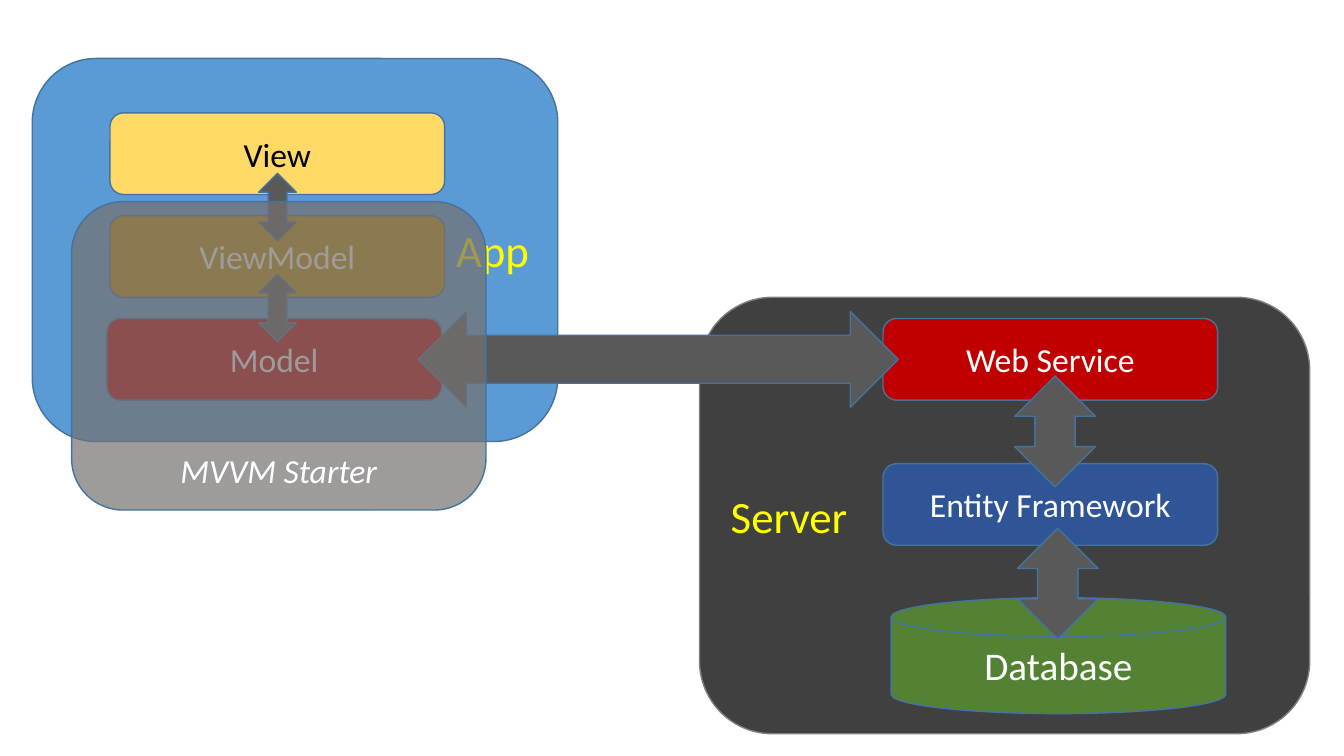
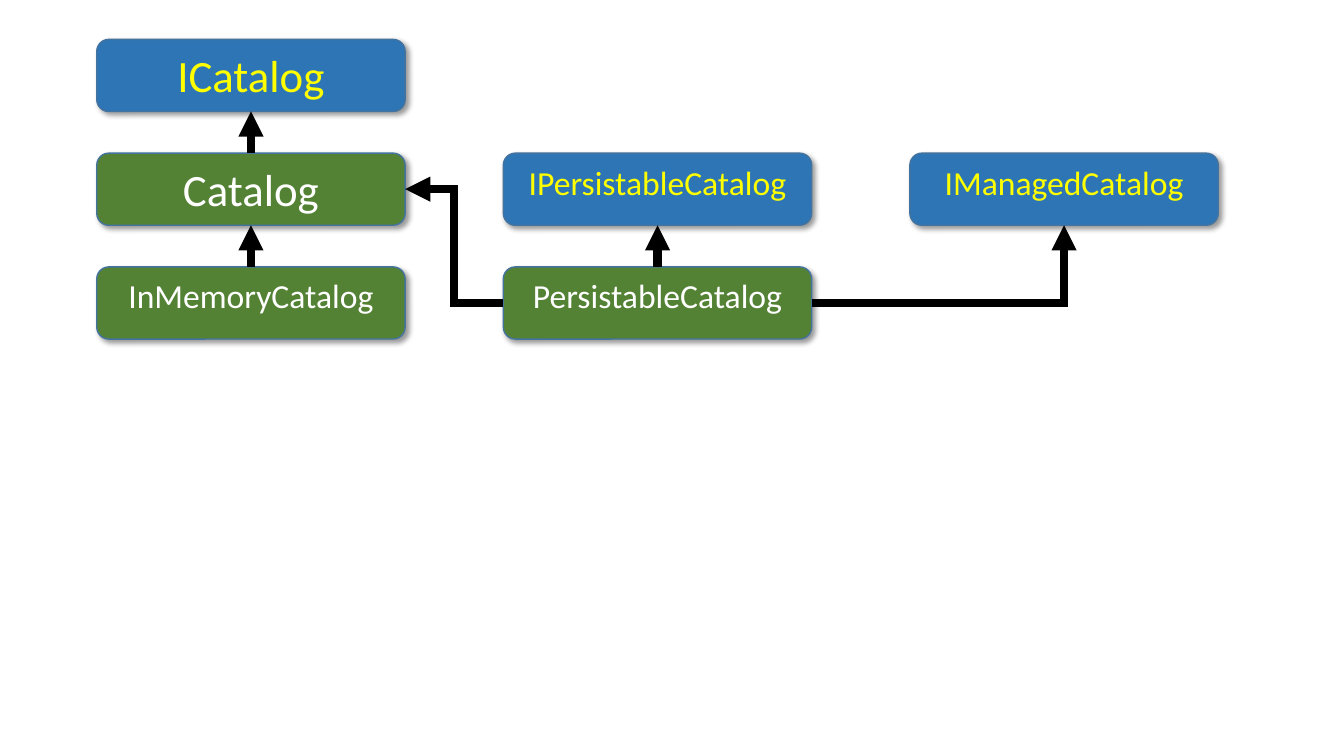
from lxml.etree import SubElement
from pptx import Presentation
from pptx.dml.color import RGBColor
from pptx.enum.shapes import MSO_CONNECTOR, MSO_SHAPE
from pptx.enum.text import MSO_ANCHOR, PP_ALIGN
from pptx.oxml.ns import qn
from pptx.util import Inches, Pt

FONT = "Calibri"
OUTLINE = "43739E"
WHITE = "FFFFFF"
BLACK = "000000"
YELLOW = "FFFF00"
RED = "C00000"
GREEN = "548235"
BLUE = "2E75B6"
ARROW_GREY = "595959"

presentation = Presentation()
presentation.slide_width = Inches(13.33)
presentation.slide_height = Inches(7.5)
column = presentation.slide_width / 100
row = presentation.slide_height / 100
blank_layout = presentation.slide_layouts[6]


def paint(color_format, hex_color):
    color_format.rgb = RGBColor.from_string(hex_color)


def add_block(slide, kind, place, fill, text="", size=24, color=WHITE, outline=OUTLINE,
              align=PP_ALIGN.CENTER, anchor=MSO_ANCHOR.MIDDLE, italic=None):
    left, top, width, height = place
    shape = slide.shapes.add_shape(kind, round(left * column), round(top * row),
                                   round(width * column), round(height * row))
    shape.shadow.inherit = False
    shape.fill.solid()
    paint(shape.fill.fore_color, fill)
    paint(shape.line.color, outline)
    shape.line.width = Pt(1)
    if text:
        shape.text_frame.vertical_anchor = anchor
        paragraph = shape.text_frame.paragraphs[0]
        paragraph.alignment = align
        run = paragraph.add_run()
        run.text = text
        run.font.name = FONT
        run.font.size = Pt(size)
        run.font.italic = italic
        paint(run.font.color, color)
    return shape


architecture = presentation.slides.add_slide(blank_layout)
ROUNDED = MSO_SHAPE.ROUNDED_RECTANGLE
LAYER_WIDTH, LAYER_HEIGHT = 24.9, 10.8
APP_LEFT, APP_TOP, APP_STEP = 8.18, 14.93, 13.6
SERVER_LEFT, SERVER_STEP = 65.7, 19.2
MODEL_TOP = APP_TOP + 2 * APP_STEP

add_block(architecture, ROUNDED, (2.4, 7.73, 39.1, 50.67), "5B9BD5", "App", 32, YELLOW,
          align=PP_ALIGN.RIGHT)
add_block(architecture, ROUNDED, (52.05, 39.33, 45.4, 57.73), "404040", "Server", 32, YELLOW,
          outline="808080", align=PP_ALIGN.LEFT)
add_block(architecture, MSO_SHAPE.FLOWCHART_MAGNETIC_DISK, (66.3, 79.07, LAYER_WIDTH, 15.33),
          GREEN, "Database", 28)

layers = [
    ("Model", APP_LEFT - 0.23, MODEL_TOP, RED, WHITE),
    ("ViewModel", APP_LEFT, APP_TOP + APP_STEP, "BF9000", WHITE),
    ("View", APP_LEFT, APP_TOP, "FFD966", BLACK),
    ("Web Service", SERVER_LEFT, MODEL_TOP, RED, WHITE),
    ("Entity Framework", SERVER_LEFT, MODEL_TOP + SERVER_STEP, "2F5597", WHITE),
]
for name, left, top, fill, color in layers:
    add_block(architecture, ROUNDED, (left, top, LAYER_WIDTH, LAYER_HEIGHT), fill, name,
              color=color)

arrows = [
    (MSO_SHAPE.UP_DOWN_ARROW, (75.7, 69.87, 6, 14.67)),
    (MSO_SHAPE.LEFT_RIGHT_ARROW, (31.13, 41.2, 35.7, 12.67)),
    (MSO_SHAPE.UP_DOWN_ARROW, (75.5, 49.73, 6, 14.67)),
    (MSO_SHAPE.UP_DOWN_ARROW, (19.25, 36.27, 2.8, 8.93)),
    (MSO_SHAPE.UP_DOWN_ARROW, (19.25, 22.93, 2.8, 8.93)),
]
for kind, place in arrows:
    add_block(architecture, kind, place, ARROW_GREY)

starter = add_block(architecture, ROUNDED, (5.33, 26.67, 30.83, 40.8), "767171", "MVVM Starter",
                    anchor=MSO_ANCHOR.BOTTOM, italic=True)
starter_color = starter._element.spPr.find(qn("a:solidFill")).find(qn("a:srgbClr"))
SubElement(starter_color, qn("a:alpha"), val="70000")

catalogs = presentation.slides.add_slide(blank_layout)
GRID_LEFT, GRID_TOP = 7.2, 5.2
COLUMN_STEP, ROW_STEP = 30.25, 15.05
BOX_WIDTH, BOX_HEIGHT = 22.95, 9.55
types = [
    ("ICatalog", 0, 0, 32),
    ("Catalog", 0, 1, 32),
    ("IPersistableCatalog", 1, 1, 24),
    ("IManagedCatalog", 2, 1, 24),
    ("InMemoryCatalog", 0, 2, 24),
    ("PersistableCatalog", 1, 2, 24),
]
interfaces = {"ICatalog", "IPersistableCatalog", "IManagedCatalog"}
boxes = {}
for name, grid_column, grid_row, size in types:
    place = (GRID_LEFT + grid_column * COLUMN_STEP, GRID_TOP + grid_row * ROW_STEP,
             BOX_WIDTH, BOX_HEIGHT)
    fill, color = (BLUE, YELLOW) if name in interfaces else (GREEN, WHITE)
    box = add_block(catalogs, ROUNDED, place, fill, name, size, color, anchor=MSO_ANCHOR.TOP)
    effects = box._element.spPr.find(qn("a:effectLst"))
    shadow = SubElement(effects, qn("a:outerShdw"), blurRad=str(Pt(4)), dist=str(Pt(3)),
                        dir="2700000", algn="tl", rotWithShape="0")
    shadow_color = SubElement(shadow, qn("a:srgbClr"), val=BLACK)
    SubElement(shadow_color, qn("a:alpha"), val="40000")
    boxes[name] = box

TOP, LEFT, BOTTOM, RIGHT = range(4)
inheritance = [
    ("Catalog", TOP, "ICatalog", BOTTOM, "line"),
    ("InMemoryCatalog", TOP, "Catalog", BOTTOM, "line"),
    ("PersistableCatalog", TOP, "IPersistableCatalog", BOTTOM, "line"),
    ("PersistableCatalog", LEFT, "Catalog", RIGHT, "bentConnector3"),
    ("PersistableCatalog", RIGHT, "IManagedCatalog", BOTTOM, "bentConnector2"),
]
for child, child_side, parent, parent_side, route in inheritance:
    kind = MSO_CONNECTOR.STRAIGHT if route == "line" else MSO_CONNECTOR.ELBOW
    connector = catalogs.shapes.add_connector(kind, 0, 0, 0, 0)
    connector.begin_connect(boxes[child], child_side)
    connector.end_connect(boxes[parent], parent_side)
    paint(connector.line.color, BLACK)
    connector.line.width = Pt(6)
    properties = connector._element.spPr
    properties.find(qn("a:prstGeom")).set("prst", route)
    line = properties.find(qn("a:ln"))
    SubElement(line, qn("a:miter"), lim="800000")
    SubElement(line, qn("a:tailEnd"), type="triangle")
    SubElement(properties, qn("a:effectLst"))

presentation.save("out.pptx")
